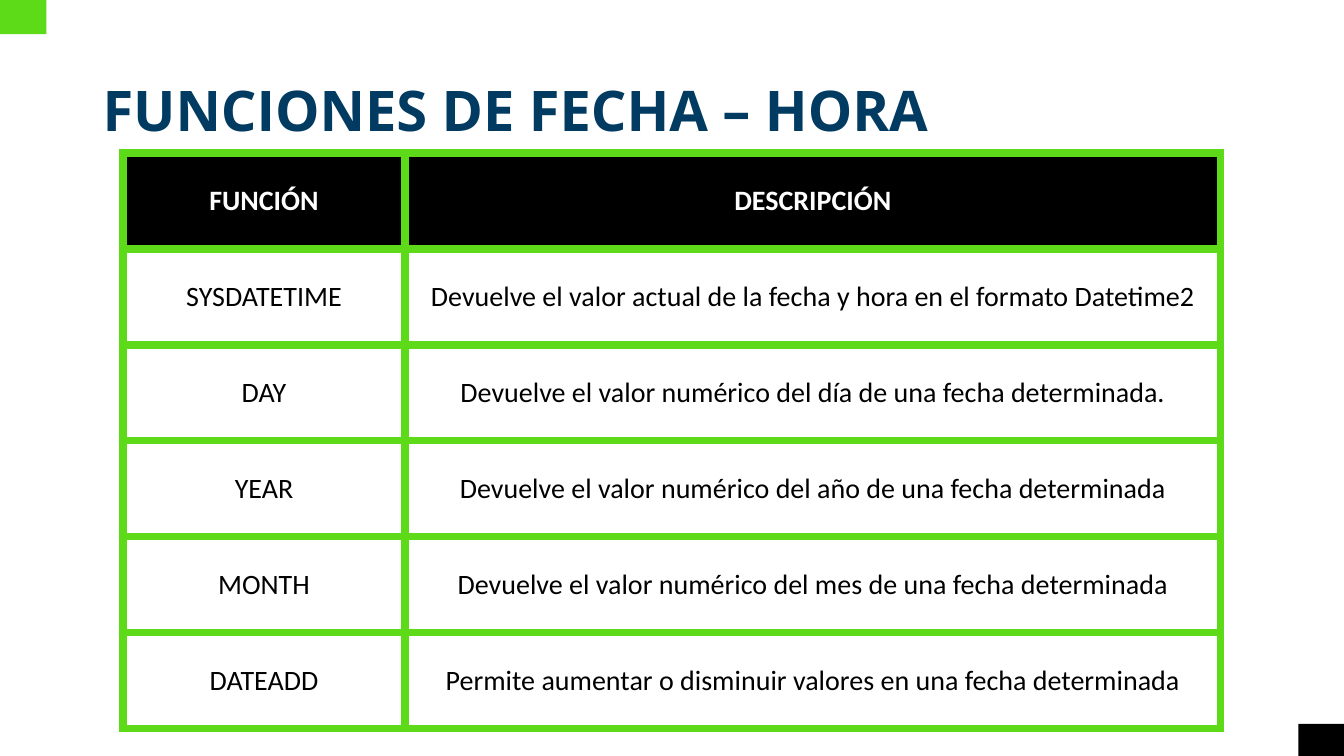
"""Build the slide on date and time functions."""
import pptx
import pptx.util
import pptx.dml.color
import pptx.enum.shapes
import pptx.enum.text
import pptx.oxml
import pptx.oxml.ns

TITLE = "FUNCIONES DE FECHA – HORA"
ROWS = [
    ("FUNCIÓN", "DESCRIPCIÓN"),
    ("SYSDATETIME", "Devuelve el valor actual de la fecha y hora en el formato Datetime2"),
    ("DAY", "Devuelve el valor numérico del día de una fecha determinada."),
    ("YEAR", "Devuelve el valor numérico del año de una fecha determinada"),
    ("MONTH", "Devuelve el valor numérico del mes de una fecha determinada"),
    ("DATEADD", "Permite aumentar o disminuir valores en una fecha determinada"),
]

Pt = pptx.util.Pt
rgb = pptx.dml.color.RGBColor.from_string
MID = pptx.enum.text.MSO_ANCHOR.MIDDLE
LEFT, CENTER = pptx.enum.text.PP_ALIGN.LEFT, pptx.enum.text.PP_ALIGN.CENTER
THEME = {
    "green": "5DDA18", "black": "000000", "white": "FFFFFF", "rule": 6,
    "title": {"name": "Open Sans", "size": Pt(40), "bold": True, "color": "013B61"},
    "head": {"name": "Calibri", "size": Pt(20), "bold": True, "color": "FFFFFF"},
    "body": {"name": "Calibri", "size": Pt(20), "bold": False, "color": "000000"},
}
WIDE, HIGH = 960, 540
TAB_W, TAB_H = 33.1, 24.5
COLS, ROW_H = (201.6, 582.5), 68.5
GRID_X, GRID_Y = 87.8, 109.4


def write(frame, text, style, align):
    frame.text = text
    par = frame.paragraphs[0]
    par.alignment = align
    font = par.runs[0].font
    for key, value in THEME[style].items():
        if key == "color":
            font.color.rgb = rgb(value)
        else:
            setattr(font, key, value)
    return par


def paint(item, color):
    item.fill.solid()
    item.fill.fore_color.rgb = rgb(THEME[color])


def edge(cell):
    props = cell._tc.get_or_add_tcPr()
    for side in "LRTB":
        props.append(pptx.oxml.parse_xml(
            f'<a:ln{side} {pptx.oxml.ns.nsdecls("a")} w="{Pt(THEME["rule"])}">'
            f'<a:solidFill><a:srgbClr val="{THEME["green"]}"/></a:solidFill>'
            f'</a:ln{side}>'))


deck = pptx.Presentation()
deck.slide_width, deck.slide_height = Pt(WIDE), Pt(HIGH)
slide = deck.slides.add_slide(deck.slide_layouts[6])
shapes = slide.shapes

for left, top, color in [(0, 0, "green"), (927.4, 517, "black")]:
    tab = shapes.add_shape(pptx.enum.shapes.MSO_SHAPE.RECTANGLE,
                           Pt(left), Pt(top), Pt(TAB_W), Pt(TAB_H))
    tab.shadow.inherit = False
    tab.line.fill.background()
    paint(tab, color)

box = shapes.add_textbox(Pt(66.2), Pt(28.8), Pt(828), Pt(104.4)).text_frame
for key, value in {"word_wrap": True, "vertical_anchor": MID}.items():
    setattr(box, key, value)
write(box, TITLE, "title", LEFT).line_spacing = 0.9

grid = shapes.add_table(len(ROWS), len(COLS), Pt(GRID_X), Pt(GRID_Y),
                        Pt(sum(COLS)), Pt(ROW_H * len(ROWS))).table
for col, width in zip(grid.columns, COLS):
    col.width = Pt(width)
for r, texts in enumerate(ROWS):
    grid.rows[r].height = Pt(ROW_H)
    style, color = ("body", "white") if r else ("head", "black")
    for c, text in enumerate(texts):
        cell = grid.cell(r, c)
        cell.vertical_anchor = MID
        write(cell.text_frame, text, style, CENTER)
        edge(cell)
        paint(cell, color)

deck.save("out.pptx")
